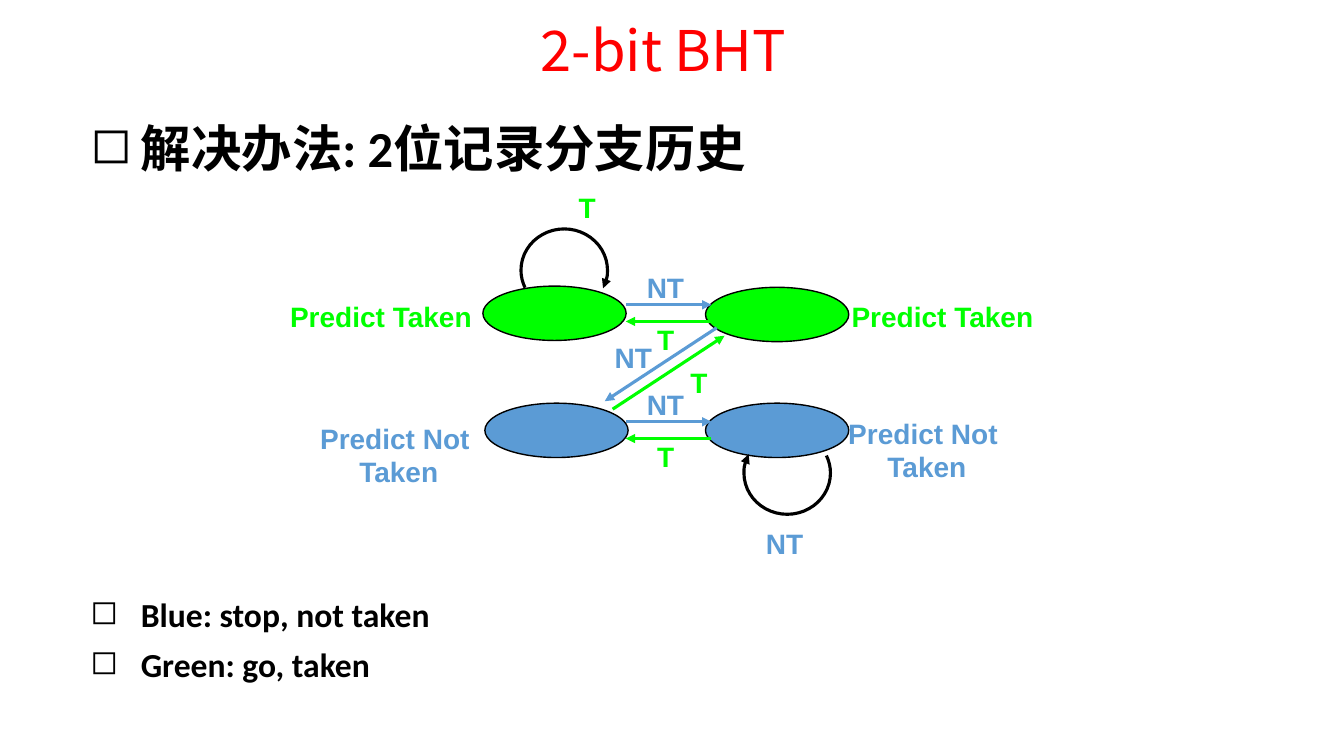
import pptx
import pptx.util
import pptx.dml.color
import pptx.enum.shapes
import pptx.enum.text
import pptx.oxml.ns
from lxml import etree

Cm, Pt = pptx.util.Cm, pptx.util.Pt
SHAPE = pptx.enum.shapes.MSO_SHAPE
ALIGN = pptx.enum.text.PP_ALIGN
ANCHOR = pptx.enum.text.MSO_ANCHOR
qn = pptx.oxml.ns.qn
GREEN, BLUE, BLACK, RED = "00FF00", "5B9BD5", "000000", "FF0000"


def rgb(value):
    return pptx.dml.color.RGBColor.from_string(value)


class Diagram:
    label_font, label_size, stroke = "Arial", 20, 2.25

    def __init__(self, s):
        self.s = s

    def text(self, x, y, w, h, lines, size, color, font, bold=True,
             align=ALIGN.LEFT, wrap=True, spacing=1, before=0, bullet=None):
        sp = self.s.shapes.add_textbox(Cm(x), Cm(y), Cm(w), Cm(h))
        tf = sp.text_frame
        tf.word_wrap = wrap
        for i, line in enumerate(lines):
            p = tf.paragraphs[0] if i == 0 else tf.add_paragraph()
            r = p.add_run()
            r.text = line
            p.alignment = align
            p.line_spacing = spacing
            p.space_before = Pt(before)
            p.font.name, p.font.size, p.font.bold = font, Pt(size), bold
            p.font.color.rgb = rgb(color)
            r.font.name, r.font.size, r.font.bold = font, Pt(size), bold
            r.font.color.rgb = rgb(color)
            if bullet:
                pPr = p._p.get_or_add_pPr()
                pPr.set("marL", str(Cm(1.27)))
                pPr.set("indent", str(-Cm(1.27)))
                bu = etree.Element(qn("a:buChar"), char=bullet)
                pPr.find(qn("a:defRPr")).addprevious(bu)
        return tf

    def label(self, x, y, w, color, *lines):
        align = ALIGN.CENTER if len(lines) > 1 else ALIGN.LEFT
        self.text(x, y, w, 0.23 + 0.86 * len(lines), lines, self.label_size,
                  color, self.label_font, align=align, wrap=False)

    def bullets(self, y, h, size, *lines):
        self.text(2.03, y, 29.21, h, lines, size, BLACK, "Calibri",
                  spacing=0.9, before=10, bullet="◻")

    def state(self, x, y, color):
        sp = self.s.shapes.add_shape(SHAPE.OVAL, Cm(x), Cm(y), Cm(3.61), Cm(1.37))
        sp.shadow.inherit = False
        sp.fill.solid()
        sp.fill.fore_color.rgb = rgb(color)
        sp.line.color.rgb = rgb(BLACK)
        sp.line.width = Pt(1)

    def arrowed(self, sp, color):
        sp.line.color.rgb = rgb(color)
        sp.line.width = Pt(self.stroke)
        etree.SubElement(sp.line._get_or_add_ln(), qn("a:tailEnd"), type="triangle")

    def loop(self, x, y, start, end):
        sp = self.s.shapes.add_shape(SHAPE.ARC, Cm(x), Cm(y), Cm(2.18), Cm(2.08))
        sp.shadow.inherit = False
        sp.fill.background()
        sp.adjustments[0], sp.adjustments[1] = start * 0.6, end * 0.6
        self.arrowed(sp, BLACK)

    def arrow(self, x1, y1, x2, y2, color):
        sp = self.s.shapes.add_connector(pptx.enum.shapes.MSO_CONNECTOR.STRAIGHT,
                                         Cm(x1), Cm(y1), Cm(x2), Cm(y2))
        self.arrowed(sp, color)
        etree.SubElement(sp._element.spPr, qn("a:effectLst"))


def main():
    prs = pptx.Presentation()
    prs.slide_width, prs.slide_height = Cm(33.87), Cm(19.05)
    d = Diagram(prs.slides.add_slide(prs.slide_layouts[6]))

    title = d.text(2.11, 0.3, 29.21, 2.08, ["2-bit BHT"], 40, RED,
                   "Noto Sans CJK SC", bold=False, align=ALIGN.CENTER, spacing=0.9)
    title.vertical_anchor = ANCHOR.MIDDLE
    d.bullets(3, 2, 36, "解决办法: 2位记录分支历史")
    d.bullets(14.95, 2.5, 24, "Blue: stop, not taken", "Green: go, taken")

    for x, y, color in ((12.17, 7.21, GREEN), (17.78, 7.24, GREEN),
                        (12.22, 10.16, BLUE), (17.78, 10.16, BLUE)):
        d.state(x, y, color)
    d.loop(13.13, 5.77, 156, 25)
    d.loop(18.75, 10.88, 336, 206)

    for dy in (0, 2.95):
        d.arrow(15.77, 7.68 + dy, 17.93, 7.68 + dy, BLUE)
        d.arrow(17.93, 8.1 + dy, 15.77, 8.1 + dy, GREEN)
        d.label(16.05, 6.7 + dy, 1.45, BLUE, "NT")
        d.label(16.31, 8 + dy, 0.94, GREEN, "T")
    d.arrow(15.44, 10.31, 18.26, 8.46, GREEN)
    d.arrow(18.06, 8.26, 15.24, 10.11, BLUE)

    d.label(14.33, 4.67, 0.94, GREEN, "T")
    d.label(17.15, 9.09, 0.94, GREEN, "T")
    d.label(15.24, 8.46, 1.45, BLUE, "NT")
    d.label(19.05, 13.13, 1.47, BLUE, "NT")
    for x in (7.06, 21.21):
        d.label(x, 7.42, 5.13, GREEN, "Predict Taken")
    for x, y in ((7.8, 10.49), (21.11, 10.36)):
        d.label(x, y, 4.5, BLUE, "Predict Not ", "Taken")

    prs.save("out.pptx")


if __name__ == "__main__":
    main()
